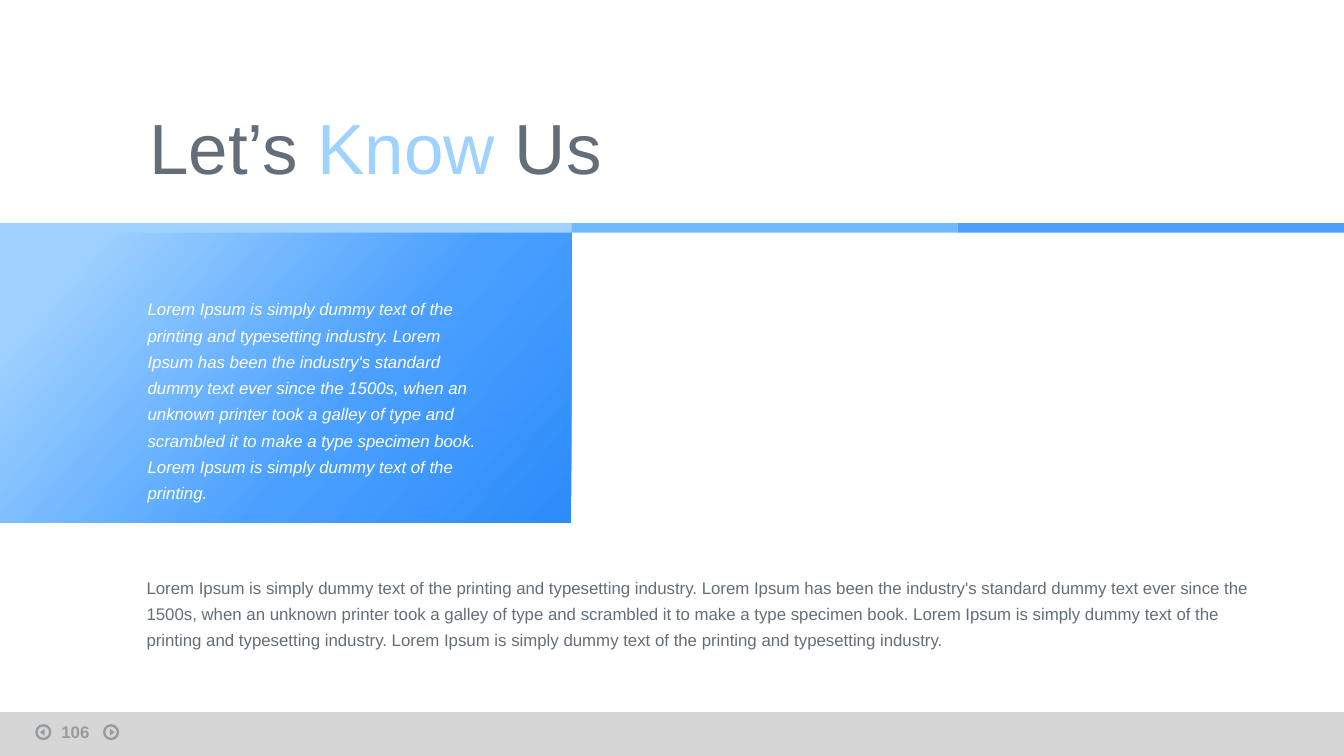
from copy import deepcopy

from lxml.etree import SubElement
from pptx import Presentation
from pptx.dml.color import RGBColor
from pptx.enum.shapes import MSO_SHAPE as Shape
from pptx.enum.text import MSO_ANCHOR as Anchor
from pptx.oxml.ns import qn
from pptx.util import Cm, Pt

WHITE = RGBColor(0xFF, 0xFF, 0xFF)
GREY = RGBColor(0xD2, 0xD2, 0xD2)
SLATE = RGBColor(0x64, 0x6E, 0x78)
NAVY = RGBColor(0x05, 0x14, 0x23)
PALE_BLUE = RGBColor(0xA0, 0xD2, 0xFF)
SKY_BLUE = RGBColor(0x6E, 0xB9, 0xFF)
BLUE = RGBColor(0x4B, 0xA0, 0xFF)
DEEP_BLUE = RGBColor(0x2D, 0x8C, 0xFA)

SLIDE_WIDTH, SLIDE_HEIGHT = 25.4, 14.29
INTRO = (
    "Lorem Ipsum is simply dummy text of the printing and typesetting industry. "
    "Lorem Ipsum has been the industry's standard dummy text ever since the 1500s, "
    "when an unknown printer took a galley of type and scrambled it to make a type "
    "specimen book. "
)
SENTENCE = "Lorem Ipsum is simply dummy text of the printing"


def add_shape(kind, left, top, width, height, color=None, opacity=100):
    shape = slide.shapes.add_shape(kind, Cm(left), Cm(top), Cm(width), Cm(height))
    shape.shadow.inherit = False
    shape.line.fill.background()
    if color is None:
        shape.fill.background()
    else:
        shape.fill.solid()
        shape.fill.fore_color.rgb = color
        set_opacity(shape, opacity)
    return shape


def set_opacity(item, percent):
    for color in item._element.iter(qn("a:srgbClr")):
        SubElement(color, qn("a:alpha"), val=str(percent * 1000))


presentation = Presentation()
presentation.slide_width = Cm(SLIDE_WIDTH)
presentation.slide_height = Cm(SLIDE_HEIGHT)
slide = presentation.slides.add_slide(presentation.slide_layouts[6])

# Footer bar
add_shape(Shape.RECTANGLE, 0, 13.46, SLIDE_WIDTH, 0.83, GREY, 90)

# Previous and next buttons: ring centre, arrow shift, arrow rotation
ring_size, arrow_width, arrow_height, button_middle = 0.26, 0.13, 0.09, 13.84
for center, shift, rotation in [(0.82, -0.02, 270), (2.1, 0.02, 90)]:
    ring = add_shape(Shape.OVAL, center - ring_size / 2,
                     button_middle - ring_size / 2, ring_size, ring_size)
    ring.line.color.rgb = NAVY
    ring.line.width = Pt(1.25)
    set_opacity(ring, 30)
    arrow = add_shape(Shape.ISOSCELES_TRIANGLE, center + shift - arrow_width / 2,
                      button_middle - arrow_height / 2, arrow_width, arrow_height,
                      NAVY, 30)
    arrow.rotation = rotation

# Gradient panel
panel = add_shape(Shape.RECTANGLE, 0, 4.39, 10.8, 5.49)
panel.fill.gradient()
panel.fill.gradient_angle = 140
stop_list = panel._element.spPr.find(qn("a:gradFill")).find(qn("a:gsLst"))
stop_list.append(deepcopy(stop_list[-1]))
gradient = [(0, DEEP_BLUE), (0.4, BLUE), (0.89, PALE_BLUE)]
for stop, (position, color) in zip(panel.fill.gradient_stops, gradient):
    stop.position = position
    stop.color.rgb = color

# Three-part divider
left = 0
for width, color in [(10.8, PALE_BLUE), (7.3, SKY_BLUE), (7.3, BLUE)]:
    add_shape(Shape.RECTANGLE, left, 4.22, width, 0.18, color)
    left += width

# Texts: box, insets, anchor, line spacing, runs, font format
texts = [
    ((2.82, 2.18, 10.8, 1.55), 0, Anchor.MIDDLE, 0.7,
     [("Let’s ", SLATE), ("Know ", PALE_BLUE), ("Us", SLATE)], {"size": Pt(38)}),
    ((2.79, 5.54, 6.27, 3.2), 0, Anchor.TOP, 1.3,
     [(f"{INTRO}{SENTENCE}.", WHITE)], {"size": Pt(9), "italic": True}),
    ((2.77, 10.8, 20.83, 1.5), 0, Anchor.TOP, 1.3,
     [(INTRO + " ".join([f"{SENTENCE} and typesetting industry."] * 2), SLATE)],
     {"size": Pt(9)}),
    ((0.91, 13.51, 1.12, 0.53), None, Anchor.TOP, 1,
     [("106", NAVY)], {"size": Pt(9), "bold": True}),
]
for box, inset, anchor, spacing, runs, font_format in texts:
    text_box = slide.shapes.add_textbox(*map(Cm, box))
    frame = text_box.text_frame
    frame.word_wrap = True
    frame.vertical_anchor = anchor
    if inset is not None:
        for side in ("left", "top", "right", "bottom"):
            setattr(frame, f"margin_{side}", Cm(inset))
    paragraph = frame.paragraphs[0]
    paragraph.line_spacing = spacing
    for text, color in runs:
        run = paragraph.add_run()
        run.text = text
        run.font.color.rgb = color
        for name, value in {"name": "Arial", **font_format}.items():
            setattr(run.font, name, value)

# The page number, added last, is faded like the buttons
set_opacity(text_box, 30)

presentation.save("out.pptx")
